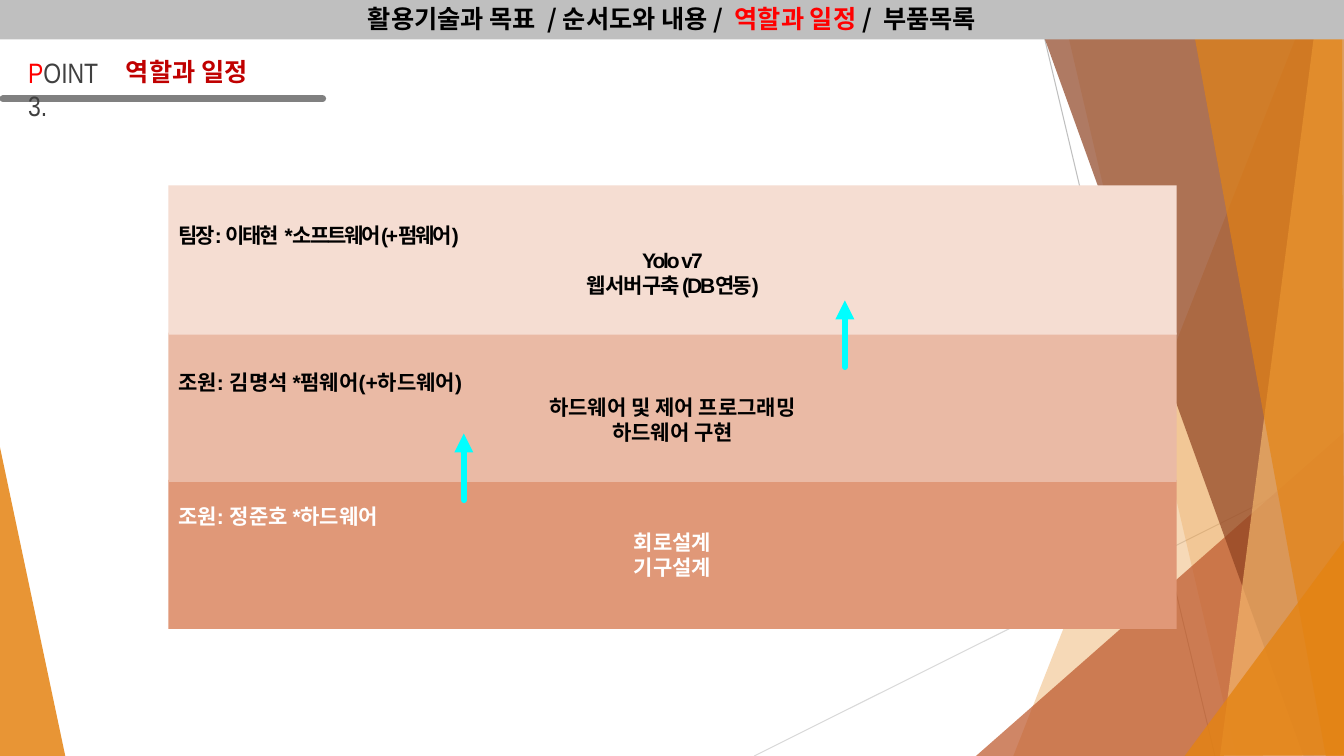
from lxml import etree
from pptx import Presentation
from pptx.dml.color import RGBColor
from pptx.enum.shapes import MSO_CONNECTOR, MSO_SHAPE
from pptx.enum.text import MSO_ANCHOR, PP_ALIGN
from pptx.oxml.ns import qn
from pptx.util import Emu, Pt

PX = 9144
W, H = 1333, 750
STRAIGHT = MSO_CONNECTOR.STRAIGHT
RECT = MSO_SHAPE.RECTANGLE
MIDDLE, TOP = MSO_ANCHOR.MIDDLE, MSO_ANCHOR.TOP
LEFT, CENTER = PP_ALIGN.LEFT, PP_ALIGN.CENTER
KOREAN = "Noto Sans CJK KR"

BLACK = RGBColor(0x00, 0x00, 0x00)
WHITE = RGBColor(0xFF, 0xFF, 0xFF)
RED = RGBColor(0xFF, 0x00, 0x00)
DARK_RED = RGBColor(0xC0, 0x00, 0x00)
CYAN = RGBColor(0x00, 0xFF, 0xFF)
CHARCOAL = RGBColor(0x40, 0x40, 0x40)
GRAY = RGBColor(0x80, 0x80, 0x80)
SILVER = RGBColor(0xBF, 0xBF, 0xBF)
PALE_GRAY = RGBColor(0xD9, 0xD9, 0xD9)
ORANGE = RGBColor(0xE4, 0x83, 0x12)
LIGHT_ORANGE = RGBColor(0xF3, 0xB5, 0x6C)
RUST = RGBColor(0xBD, 0x58, 0x2C)
BROWN = RGBColor(0x8E, 0x42, 0x21)
SALMON = RGBColor(0xE0, 0x98, 0x78)
PEACH = RGBColor(0xEA, 0xBA, 0xA5)
CREAM = RGBColor(0xF5, 0xDD, 0xD2)

FACETS = [
    (ORANGE, 85, [(-1, 439), (65, 751), (-1, 750)]),
    (ORANGE, 30, [(1300, 0), (1005, 750), (1336, 751), (1335, 1)]),
    (ORANGE, 20, [(1051, -1), (1226, 750), (1335, 750), (1335, -1)]),
    (RUST, 72, [(968, 750), (1333, 429), (1334, 750)]),
    (BROWN, 70, [(1022, -1), (1293, 750), (1335, 749), (1335, -1)]),
    (LIGHT_ORANGE, 70, [(1308, -1), (1210, 750), (1335, 750), (1334, -1)]),
    (ORANGE, 65, [(1178, -1), (1315, 750), (1333, 750), (1331, -1)]),
    (ORANGE, 80, [(1175, 750), (1334, 535), (1335, 749)]),
]
ROLES = [
    (CREAM, BLACK, -150, 5,
     ["팀장: 이태현  *소프트웨어(+펌웨어)", "Yolo v7", "웹 서버 구축 (DB연동)"]),
    (PEACH, BLACK, 0, 5,
     ["조원: 김명석 *펌웨어(+하드웨어)", "하드웨어 및 제어 프로그래밍", "하드웨어 구현"]),
    (SALMON, WHITE, 0, 30,
     ["조원: 정준호 *하드웨어", "회로설계", "기구설계"]),
]


def add_line(slide, x1, y1, x2, y2, color, width, cap="flat", arrow=False):
    sp = slide.shapes.add_connector(STRAIGHT, x1 * PX, y1 * PX, x2 * PX, y2 * PX)
    sp.line.color.rgb = color
    sp.line.width = Pt(width)
    ln = sp.line._get_or_add_ln()
    ln.set("cap", cap)
    if arrow:
        etree.SubElement(ln, qn("a:tailEnd"), type="triangle")
    etree.SubElement(sp._element.spPr, qn("a:effectLst"))


def add_facet(slide, color, alpha, points):
    builder = slide.shapes.build_freeform(*points[0], scale=PX)
    builder.add_line_segments(points[1:])
    sp = builder.convert_to_shape()
    sp.shadow.inherit = False
    sp.fill.solid()
    sp.fill.fore_color.rgb = color
    sp.line.fill.background()
    clr = sp.fill._xPr.find(".//" + qn("a:srgbClr"))
    etree.SubElement(clr, qn("a:alpha"), val=str(alpha * 1000))


def add_rect(slide, x, y, w, h, color):
    sp = slide.shapes.add_shape(RECT, x * PX, y * PX, w * PX, h * PX)
    sp.shadow.inherit = False
    sp.fill.solid()
    sp.fill.fore_color.rgb = color
    sp.line.fill.background()
    tf = sp.text_frame
    tf.word_wrap = True
    tf.vertical_anchor = MIDDLE
    return tf


def add_label(slide, x, y, w, h):
    tf = slide.shapes.add_textbox(x * PX, y * PX, w * PX, h * PX).text_frame
    tf.word_wrap = True
    tf.vertical_anchor = TOP
    return tf


def write(p, runs, size, font, bold=True, align=LEFT, spacing=0):
    p.alignment = align
    p.font.size = Pt(size)
    p.font.bold = bold
    p.font.name = font
    props = p._p.pPr.find(qn("a:defRPr"))
    etree.SubElement(props, qn("a:ea"), typeface=KOREAN)
    if spacing:
        props.set("spc", str(spacing))
    for text, color in runs:
        r = p.add_run()
        r.text = text
        r.font.color.rgb = color


def add_backdrop(slide):
    for color, alpha, points in FACETS[:1]:
        add_facet(slide, color, alpha, points)
    add_line(slide, 748, 750, 1335, 457, PALE_GRAY, 0.75)
    add_line(slide, 1027, 0, 1205, 750, SILVER, 0.75)
    for color, alpha, points in FACETS[1:]:
        add_facet(slide, color, alpha, points)


def add_navigation(slide, x, y, w, h):
    tf = add_rect(slide, x, y, w, h, SILVER)
    runs = [("활용기술과 목표  / 순서도와 내용 /  ", BLACK),
            ("역할과 일정 ", RED), ("/  부품목록", BLACK)]
    write(tf.paragraphs[0], runs, 18, KOREAN, align=CENTER)


def add_heading(slide, x, y):
    add_line(slide, x + 3, y + 48, x + 320, y + 48, GRAY, 5, cap="rnd")
    tf = add_label(slide, x + 18, y, 100, 44)
    write(tf.paragraphs[0], [("P", RED), ("OINT 3.", CHARCOAL)], 20,
          "Arial Narrow", bold=False)
    tf = add_label(slide, x + 115, y + 1, 220, 40)
    write(tf.paragraphs[0], [("역할과 일정", DARK_RED)], 18, KOREAN)


def add_roles(slide, x, y, w, h, step):
    for i, (fill, color, spacing, inset, lines) in reversed(list(enumerate(ROLES))):
        tf = add_rect(slide, x, y + i * step, w, h, fill)
        tf.margin_bottom = Emu(inset * PX)
        for j, text in enumerate(lines):
            p = tf.add_paragraph() if j else tf.paragraphs[0]
            write(p, [(text, color)], 15, "Arial",
                  align=CENTER if j else LEFT, spacing=spacing)
    for dx, dy in ((293, 312), (671, 180)):
        add_line(slide, x + dx, y + dy, x + dx, y + dy - 66, CYAN, 4.5,
                 cap="rnd", arrow=True)


def main():
    prs = Presentation()
    prs.slide_width, prs.slide_height = Emu(W * PX), Emu(H * PX)
    slide = prs.slides.add_slide(prs.slide_layouts[6])
    add_backdrop(slide)
    add_roles(slide, 167, 184, 1000, 148, 146)
    add_navigation(slide, 0, -3, W, 42)
    add_heading(slide, 0, 50)
    prs.save("out.pptx")


if __name__ == "__main__":
    main()
